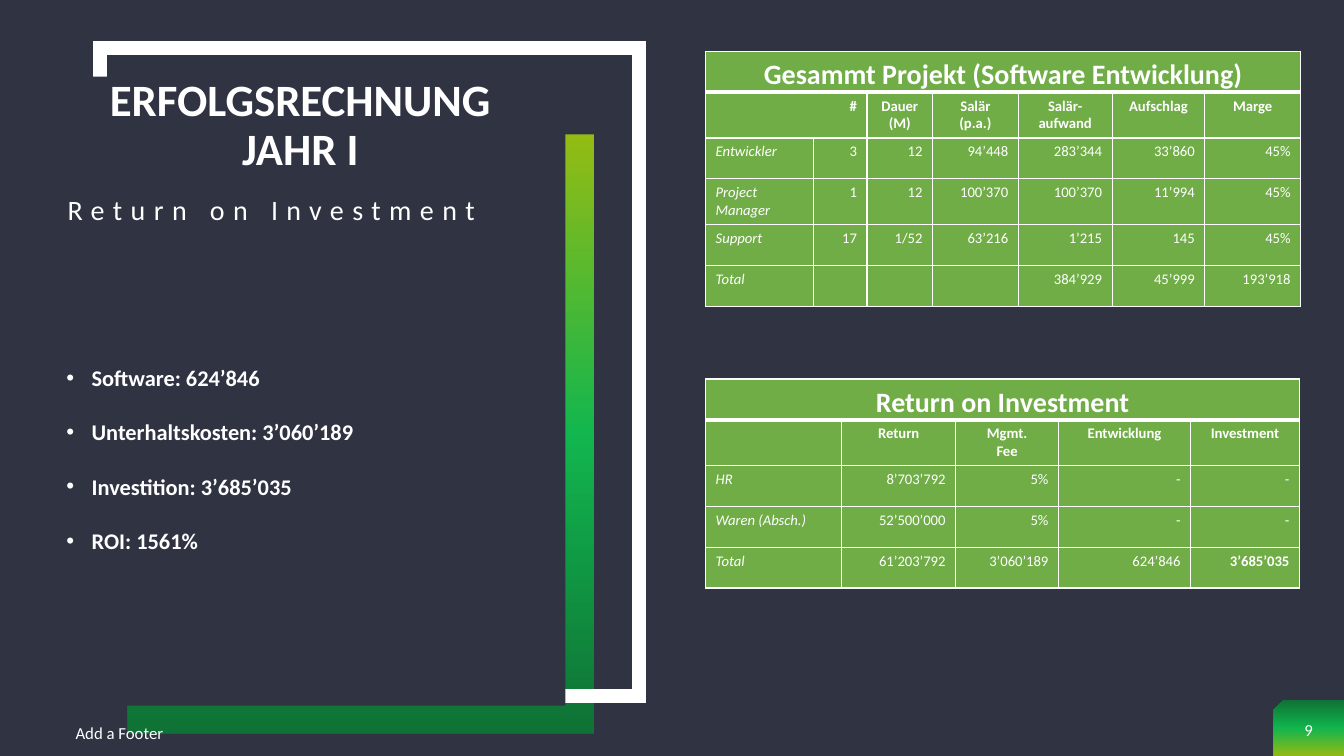
from copy import deepcopy
from dataclasses import dataclass

from lxml.etree import SubElement
from pptx import Presentation
from pptx.dml.color import RGBColor
from pptx.enum.shapes import MSO_SHAPE
from pptx.enum.text import MSO_ANCHOR, MSO_AUTO_SIZE, PP_ALIGN
from pptx.oxml.ns import qn
from pptx.util import Inches, Pt


@dataclass(frozen=True)
class Theme:
    font: str = "Calibri"
    night: str = "2F3342"
    white: str = "FFFFFF"
    cell: str = "70AD47"
    gradient: tuple = ((0, "038B30"), (50, "05EE55"), (100, "C0F400"))
    opacity: int = 70
    title: float = 32
    heading: float = 20
    body: float = 16
    small: float = 12
    table: float = 10.5
    hairline: float = 1
    rule: float = 3
    frame: float = 10


class SlideBuilder:
    """Places elements on a grid of 100 columns by 100 rows."""

    def __init__(self, deck, theme):
        self.theme = theme
        self.column = deck.slide_width / 100
        self.row = deck.slide_height / 100
        self.slide = deck.slides.add_slide(deck.slide_layouts[5])
        self.paint(self.slide.background.fill, theme.night)

    def box(self, left, top, width, height):
        return (round(left * self.column), round(top * self.row),
                round(width * self.column), round(height * self.row))

    @staticmethod
    def paint(fill, color):
        fill.solid()
        fill.fore_color.rgb = RGBColor.from_string(color)

    def style(self, paragraph, size, align=PP_ALIGN.LEFT, spacing=None, **font):
        """Formats a paragraph and its runs."""
        paragraph.alignment = align
        for name, value in (spacing or {}).items():
            setattr(paragraph, name, value)
        formats = {"name": self.theme.font, "size": Pt(size), **font}
        for run in paragraph.runs:
            for name, value in formats.items():
                setattr(run.font, name, value)
            run.font.color.rgb = RGBColor.from_string(self.theme.white)
        for line_break in paragraph._p.findall(qn("a:br")):
            line_break.append(deepcopy(paragraph.runs[0]._r.rPr))

    def block(self, kind, area, fill=None, angle=None, border=None, flip=False):
        """Adds a preset shape; an angle asks for the gradient."""
        shape = self.slide.shapes.add_shape(kind, *self.box(*area))
        shape.shadow.inherit = False
        if angle is not None:
            self.gradient(shape.fill, shape._element.spPr, angle)
        elif fill:
            self.paint(shape.fill, fill)
        else:
            shape.fill.background()
        if border:
            self.paint(shape.line.fill, self.theme.white)
            shape.line.width = Pt(border)
            SubElement(shape._element.spPr.get_or_add_ln(), qn("a:miter"), lim="800000")
        else:
            shape.line.fill.background()
        if flip:
            shape._element.spPr.find(qn("a:xfrm")).set("flipH", "1")

    def gradient(self, fill, properties, angle):
        fill.gradient()
        fill.gradient_angle = angle
        stops = properties.find(qn("a:gradFill")).find(qn("a:gsLst"))
        for stop in list(stops):
            stops.remove(stop)
        for position, color in self.theme.gradient:
            stop = SubElement(stops, qn("a:gs"), pos=str(position * 1000))
            tint = SubElement(stop, qn("a:srgbClr"), val=color)
            SubElement(tint, qn("a:alpha"), val=str(self.theme.opacity * 1000))

    def title(self, area, wording):
        heading = self.slide.shapes.title
        self.slide.shapes._spTree.append(heading._element)  # in front of the frame
        for name, value in zip(("left", "top", "width", "height"), self.box(*area)):
            setattr(heading, name, value)
        self.fill_text(heading.text_frame, [wording], self.theme.title, side=0,
                       anchor=MSO_ANCHOR.MIDDLE, align=PP_ALIGN.CENTER,
                       spacing={"line_spacing": 0.9}, bold=True)

    def text(self, area, lines, size, **formats):
        frame = self.slide.shapes.add_textbox(*self.box(*area)).text_frame
        return self.fill_text(frame, lines, size, **formats)

    def fill_text(self, frame, lines, size, side=0.1, anchor=MSO_ANCHOR.TOP, **formats):
        settings = {"word_wrap": True, "auto_size": MSO_AUTO_SIZE.NONE,
                    "vertical_anchor": anchor, "margin_left": Inches(side),
                    "margin_right": Inches(side), "margin_top": Inches(0.05),
                    "margin_bottom": Inches(0.05)}
        for name, value in settings.items():
            setattr(frame, name, value)
        frame.text = "\n".join(lines)
        for paragraph in frame.paragraphs:
            self.style(paragraph, size, **formats)
        return frame.paragraphs

    def bullets(self, area, lines):
        spacing = {"line_spacing": 1.5, "space_before": Pt(10)}
        for item in self.text(area, lines, self.theme.body, side=0,
                              spacing=spacing, bold=True):
            properties = item._p.get_or_add_pPr()
            indent = Inches(0.25)
            properties.set("marL", str(indent))
            properties.set("indent", str(-indent))
            SubElement(properties, qn("a:buFont"), typeface="Arial")
            SubElement(properties, qn("a:buChar"), char="•")

    def table(self, left, top, widths, row_height, heading, rows, strong=()):
        """Adds a table with a merged heading, a header row and italic row names."""
        theme, last = self.theme, len(widths) - 1
        area = self.box(left, top, sum(widths), row_height * (len(rows) + 1))
        grid = self.slide.shapes.add_table(len(rows) + 1, len(widths), *area).table
        grid.first_row = grid.horz_banding = False
        for column, width in zip(grid.columns, widths):
            column.width = round(width * self.column)
        for line in grid.rows:
            line.height = round(row_height * self.row)
        for r, line in enumerate([[heading] + [""] * last] + rows):
            for c, wording in enumerate(line):
                cell = grid.cell(r, c)
                cell.text = wording
                self.paint(cell.fill, theme.cell)
                self.borders(cell, top=theme.rule if r == 1 else theme.hairline,
                             bottom=theme.rule if r == 0 else theme.hairline)
                header = r <= 1
                align = PP_ALIGN.CENTER if header else PP_ALIGN.RIGHT
                if c == 0 and r:
                    align = PP_ALIGN.RIGHT if header else PP_ALIGN.LEFT
                for paragraph in cell.text_frame.paragraphs:
                    self.style(paragraph, theme.table if r else theme.heading, align,
                               bold=header or (r, c) in strong,
                               italic=c == 0 and not header)
        title_cell = grid.cell(0, 0)
        title_cell.merge(grid.cell(0, last))
        title_cell.vertical_anchor = MSO_ANCHOR.BOTTOM
        for side in ("left", "right", "top", "bottom"):
            setattr(title_cell, f"margin_{side}", 0)
        return grid

    def borders(self, cell, top, bottom):
        properties = cell._tc.get_or_add_tcPr()
        thin = self.theme.hairline
        edges = {"L": thin, "R": thin, "T": top, "B": bottom}
        for place, (edge, width) in enumerate(edges.items()):
            line = SubElement(properties, qn(f"a:ln{edge}"), w=str(Pt(width)))
            fill = SubElement(line, qn("a:solidFill"))
            SubElement(fill, qn("a:srgbClr"), val=self.theme.white)
            properties.insert(place, line)


def main():
    deck = Presentation()
    deck.slide_width, deck.slide_height = Inches(13.33), Inches(7.5)
    theme = Theme()
    page = SlideBuilder(deck, theme)

    # Corner tab and layered frame
    page.block(MSO_SHAPE.SNIP_1_RECTANGLE, (94.75, 92.67, 5.25, 7.33), angle=270, flip=True)
    page.block(MSO_SHAPE.RECTANGLE, (9.53, 17.8, 34.65, 79.2), angle=90)
    page.block(MSO_SHAPE.RECTANGLE, (7.43, 6.4, 40.13, 85.73), border=theme.frame)
    page.block(MSO_SHAPE.RECTANGLE, (5.4, 10.13, 36.68, 83.2), fill=theme.night)

    # Title, subtitle and key figures
    page.title((5.03, 12.53, 34.65, 8.4), "ERFOLGSRECHNUNG\vJAHR I")
    for subtitle in page.text((5.03, 25.33, 34.43, 6), ["Return on Investment"],
                              theme.heading, side=0, spacing={"line_spacing": 0.9}):
        subtitle.runs[0]._r.get_or_add_rPr().set("spc", "600")
    page.bullets((4.95, 45.73, 34.65, 41.87),
                 ["Software: 624’846", "Unterhaltskosten: 3’060’189",
                  "Investition: 3’685’035", "ROI: 1561%"])

    # Footer and page number
    page.text((4.88, 94.27, 33.75, 5.33), ["Add a Footer"], theme.small,
              anchor=MSO_ANCHOR.MIDDLE)
    page.text((94.75, 93.47, 5.25, 6), ["9"], theme.small,
              anchor=MSO_ANCHOR.MIDDLE, align=PP_ALIGN.CENTER)

    # Project costs
    costs = page.table(
        52.5, 6.8, (8.03, 3.98, 4.88, 6.38, 6.98, 6.9, 7.13), 5.4,
        "Gesammt Projekt (Software Entwicklung)",
        [["#", "", "Dauer (M)", "Salär\n(p.a.)", "Salär-\naufwand", "Aufschlag", "Marge"],
         ["Entwickler", "3", "12", "94’448", "283’344", "33’860", "45%"],
         ["Project Manager", "1", "12", "100’370", "100’370", "11’994", "45%"],
         ["Support", "17", "1/52", "63’216", "1’215", "145", "45%"],
         ["Total", "", "", "", "384’929", "45’999", "193’918"]])
    costs.cell(1, 0).merge(costs.cell(1, 1))

    # Return on investment
    page.table(
        52.5, 50.13, (10.13, 8.48, 7.65, 9.83, 8.1), 5.4, "Return on Investment",
        [["", "Return", "Mgmt.\nFee", "Entwicklung", "Investment"],
         ["HR", "8’703’792", "5%", "-", "-"],
         ["Waren (Absch.)", "52’500’000", "5%", "-", "-"],
         ["Total", "61’203’792", "3’060’189", "624’846", "3’685’035"]],
        strong={(4, 4)})

    deck.save("out.pptx")


if __name__ == "__main__":
    main()
